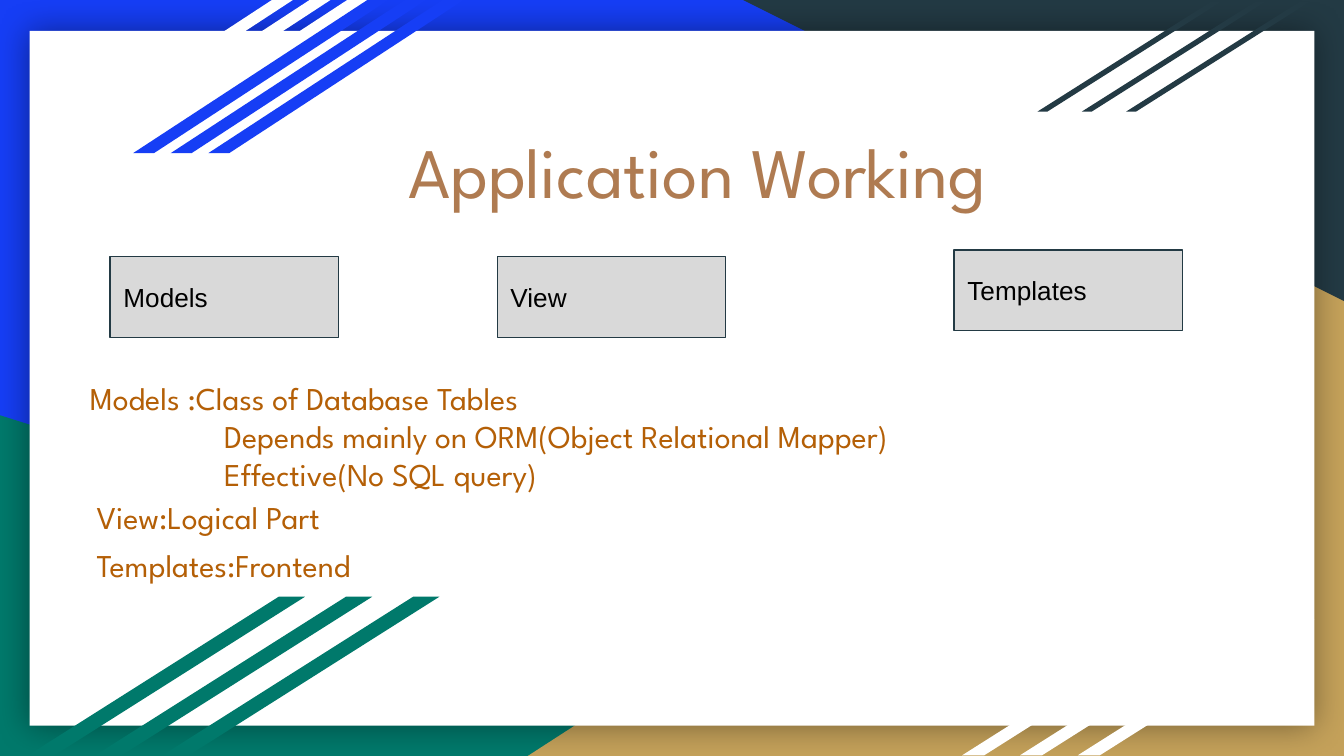
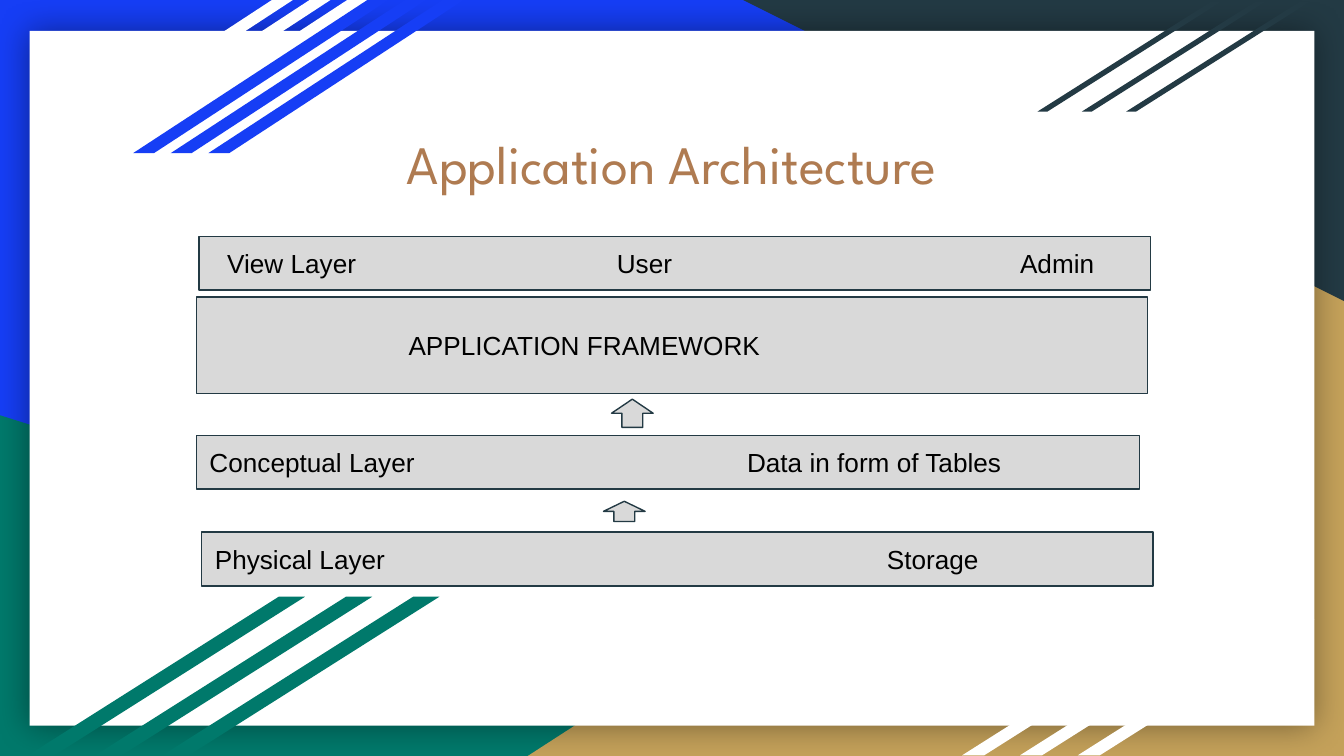
from dataclasses import dataclass
from typing import NamedTuple

from lxml import etree
from pptx import Presentation
from pptx import util as u
from pptx.dml.color import RGBColor
from pptx.enum import shapes, text
from pptx.oxml import ns

Kind = shapes.MSO_SHAPE
Align = text.PP_ALIGN
Anchor = text.MSO_ANCHOR
Inches = u.Inches


@dataclass(frozen=True)
class Theme:
    blue: str = "163EF5"
    green: str = "00796B"
    gold: str = "C4A15A"
    slate: str = "233A44"
    white: str = "FFFFFF"
    black: str = "000000"
    grey: str = "D9D9D9"
    title: str = "AF7B51"
    note: str = "B45F06"
    head: str = "League Spartan"
    body: str = "Arial"
    large: float = 38
    medium: float = 29
    text: float = 17
    label: float = 14
    line: float = 0.75
    pad: float = 0.1


T = Theme()


class Area(NamedTuple):
    x: float
    y: float
    w: float
    h: float


class Stripes(NamedTuple):
    """Three slanted bars, each moved left of the one before by step."""
    first: Area
    step: float
    slant: float
    color: str


class Box(NamedTuple):
    area: Area
    words: str
    left: float = T.pad
    right: float = T.pad
    tabs: tuple[float, ...] = ()
    align: Align = Align.LEFT


class Note(NamedTuple):
    area: Area
    lines: tuple[str, ...]


STRIPES = (
    Stripes(Area(0.84, 0, 1.9, 1.14), 0.28, 1.53, T.white),
    Stripes(Area(1.55, 0, 1.9, 1.14), 0.28, 1.53, T.blue),
    Stripes(Area(8.38, 0.01, 1.37, 0.82), 0.33, 1.58, T.slate),
    Stripes(Area(8.02, 4.61, 1.76, 1.01), 0.43, 1.58, T.white),
    Stripes(Area(1.21, 4.44, 2.06, 1.18), 0.5, 1.58, T.green),
)

PARTS = (
    Box(Area(0.82, 1.91, 1.7, 0.6), "Models"),
    Box(Area(3.7, 1.91, 1.7, 0.6), "View"),
    Box(Area(7.1, 1.86, 1.7, 0.6), "Templates"),
)

NOTES = (
    Note(Area(0.57, 2.72, 8.07, 0.73), (
        "Models :Class of Database Tables",
        "Depends mainly on ORM(Object Relational Mapper)",
        "Effective(No SQL query)",
    )),
    Note(Area(0.62, 3.6, 8.07, 0.45), ("View:Logical Part",)),
    Note(Area(0.62, 3.96, 8.07, 0.45), ("Templates:Frontend",)),
)

LAYERS = (
    Box(Area(1.48, 1.76, 7.08, 0.4), "View Layer\tUser\tAdmin",
        left=0.21, tabs=(2.9, 5.9)),
    Box(Area(1.46, 2.21, 7.08, 0.72), "APPLICATION FRAMEWORK",
        right=1.4, align=Align.CENTER),
    Box(Area(1.5, 3.96, 7.08, 0.4), "Physical Layer\tStorage", tabs=(5,)),
    Box(Area(1.46, 3.24, 7.02, 0.4), "Conceptual Layer\tData in form of Tables",
        tabs=(4,)),
)

ARROWS = (Area(4.49, 3.73, 0.31, 0.15), Area(4.55, 2.97, 0.31, 0.21))


def place(area: Area) -> list[u.Length]:
    return [Inches(side) for side in area]


def draw(tree, kind: Kind, area: Area, fill: str, line: str | None = None):
    shape = tree.add_shape(kind, *place(area))
    shape.shadow.inherit = False
    shape.fill.solid()
    shape.fill.fore_color.rgb = RGBColor.from_string(fill)
    if line:
        shape.line.color.rgb = RGBColor.from_string(line)
        shape.line.width = u.Pt(T.line)
    else:
        shape.line.fill.background()
    return shape


def write(shape, *lines: str, font: str = T.body, size: float = T.label,
          color: str = T.black, align: Align = Align.LEFT,
          anchor: Anchor = Anchor.MIDDLE, left: float = T.pad,
          right: float = T.pad, hang: float = 0,
          tabs: tuple[float, ...] = ()) -> None:
    """Fill a shape with lines; those after the first are indented by hang."""
    frame = shape.text_frame
    frame.word_wrap = True
    frame.vertical_anchor = anchor
    frame.margin_left, frame.margin_right = Inches(left), Inches(right)
    frame.margin_top = frame.margin_bottom = Inches(T.pad)
    for row, words in enumerate(lines):
        para = frame.add_paragraph() if row else frame.paragraphs[0]
        para.alignment = align
        run = para.add_run()
        run.text = words
        run.font.name = font
        run.font.size = u.Pt(size)
        run.font.color.rgb = RGBColor.from_string(color)
        props = para._p.get_or_add_pPr()
        if row and hang:
            props.set("marL", str(Inches(hang)))
        if tabs:
            stops = etree.SubElement(props, ns.qn("a:tabLst"))
            for pos in tabs:
                etree.SubElement(stops, ns.qn("a:tab"),
                                 pos=str(Inches(pos)), algn="l")


def glow(shape) -> None:
    """Give a shape a soft black shadow on all sides."""
    effects = shape._element.spPr.find(ns.qn("a:effectLst"))
    shade = etree.SubElement(effects, ns.qn("a:outerShdw"), blurRad=str(u.Pt(18)),
                             dist="0", dir="0", algn="ctr", rotWithShape="0")
    color = etree.SubElement(shade, ns.qn("a:srgbClr"), val=T.black)
    etree.SubElement(color, ns.qn("a:alpha"), val="40000")


def frame(deck, title: str, area: Area, size: float):
    """Add a slide with the shared backdrop, stripes and title."""
    slide = deck.slides.add_slide(deck.slide_layouts[6])
    slide.background.fill.solid()
    slide.background.fill.fore_color.rgb = RGBColor.from_string(T.blue)
    tree = slide.shapes
    draw(tree, Kind.RIGHT_TRIANGLE, Area(0, 3.09, 8.06, 2.54), T.green)
    gold = draw(tree, Kind.RIGHT_TRIANGLE, Area(3.92, 1.7, 6.08, 3.93), T.gold)
    gold._element.spPr.xfrm.set("flipH", "1")
    slate = draw(tree, Kind.RIGHT_TRIANGLE, Area(5.53, 0, 4.47, 2.24), T.slate)
    slate.rotation = 180
    glow(draw(tree, Kind.RECTANGLE, Area(0.22, 0.23, 9.56, 5.17), T.white))
    for band in STRIPES:
        group = tree.add_group_shape()
        for i in range(3):
            spot = band.first._replace(x=band.first.x - i * band.step)
            bar = draw(group.shapes, Kind.PARALLELOGRAM, spot, band.color)
            bar.adjustments[0] = band.slant
    write(tree.add_textbox(*place(area)), title, font=T.head, size=size,
          color=T.title, align=Align.CENTER)
    return slide


def label(tree, box: Box) -> None:
    shape = draw(tree, Kind.RECTANGLE, box.area, T.grey, T.slate)
    write(shape, box.words, left=box.left, right=box.right,
          tabs=box.tabs, align=box.align)


def working(deck) -> None:
    tree = frame(deck, "Application Working", Area(2, 0.82, 6.38, 0.89),
                 T.large).shapes
    for part in PARTS:
        label(tree, part)
    for note in NOTES:
        write(tree.add_textbox(*place(note.area)), *note.lines, font=T.head,
              size=T.text, color=T.note, anchor=Anchor.TOP, hang=1)


def layers(deck) -> None:
    tree = frame(deck, "Application Architecture", Area(1.75, 0.81, 6.5, 0.8),
                 T.medium).shapes
    for layer in LAYERS:
        label(tree, layer)
    for area in ARROWS:
        draw(tree, Kind.UP_ARROW, area, T.grey, T.slate)


def main() -> None:
    deck = Presentation()
    deck.slide_width = Inches(10)
    deck.slide_height = Inches(10 * 9 / 16)
    working(deck)
    layers(deck)
    deck.save("out.pptx")


if __name__ == "__main__":
    main()
